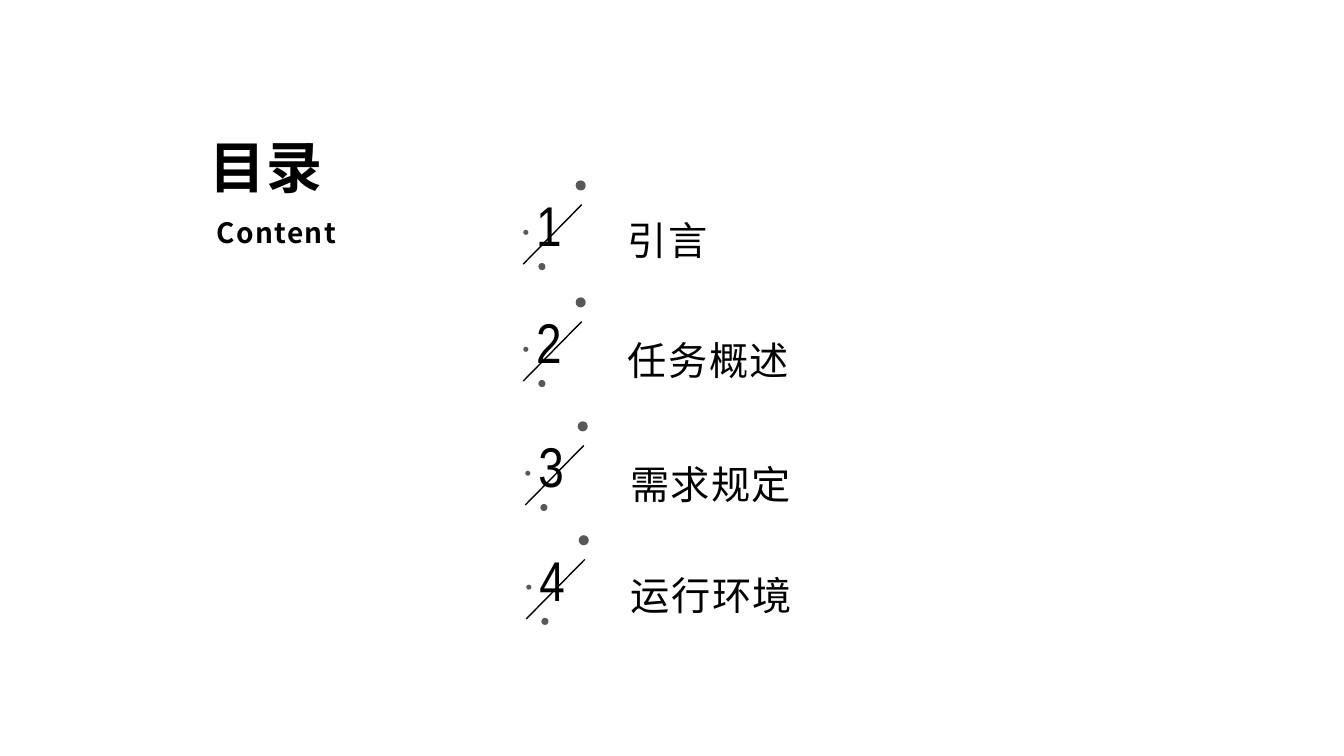
from dataclasses import dataclass

from lxml import etree
from pptx import Presentation
from pptx.dml.color import RGBColor
from pptx.enum import shapes, text
from pptx.oxml import ns
from pptx.util import Inches, Pt


@dataclass(frozen=True)
class Theme:
    """Colours, fonts and type sizes of the slide."""
    ink: RGBColor = RGBColor(0x00, 0x00, 0x00)
    dot: RGBColor = RGBColor(0x52, 0x52, 0x52)
    paper: RGBColor = RGBColor(0xFF, 0xFF, 0xFF)
    dot_alpha: int = 96
    cjk: str = "Noto Sans CJK JP"
    narrow: str = "Arial Narrow"
    large: int = 40
    label: int = 28
    small: int = 20
    spacing: int = 1


THEME = Theme()
WIDTH, HEIGHT = 13.33, 7.5
ITEMS = [
    ("引言", 5.22, 1.84, 0.26),
    ("任务概述", 5.22, 3.00, 0.29),
    ("需求规定", 5.24, 4.23, 0.29),
    ("运行环境", 5.25, 5.36, 0.26),
]
DOTS = [(0.49, -0.05, 0.10), (0.12, 0.77, 0.07), (-0.03, 0.44, 0.05)]


def write(sp, words, size, font, bold=False, spacing=0):
    """Fill a text shape with one formatted run."""
    tf = sp.text_frame
    tf.word_wrap = True
    tf.auto_size = text.MSO_AUTO_SIZE.SHAPE_TO_FIT_TEXT
    tf.vertical_anchor = text.MSO_ANCHOR.TOP
    p = tf.paragraphs[0]
    p.alignment = text.PP_ALIGN.LEFT
    r = p.add_run()
    r.text = words
    r.font.size, r.font.name, r.font.bold = Pt(size), font, bold
    r.font.color.rgb = THEME.ink
    rpr = r.font._element
    rpr.set("spc", str(spacing * 100))
    etree.SubElement(rpr, ns.qn("a:ea"), typeface=font)


def add_text(parent, box, words, size, font, **style):
    """Add a text box in the given box."""
    sp = parent.add_textbox(*map(Inches, box))
    write(sp, words, size, font, **style)


def add_heading(slide, left, top):
    """Place the title and its subtitle from a top left corner."""
    title = slide.shapes.title
    title.left, title.top = Inches(left), Inches(top)
    title.width, title.height = Inches(1.5), Inches(0.77)
    write(title, "目录", THEME.large, THEME.cjk, bold=True, spacing=THEME.spacing)
    add_text(slide.shapes, (left + 0.07, top + 0.83, 3.13, 0.44), "Content",
             THEME.small, THEME.cjk, bold=True, spacing=THEME.spacing)


def add_slash(parent, left, top):
    """Draw the diagonal stroke through a number."""
    line = parent.add_connector(shapes.MSO_CONNECTOR.STRAIGHT, Inches(left + 0.55),
                                Inches(top + 0.19), Inches(left - 0.03), Inches(top + 0.78))
    line.line.color.rgb = THEME.ink
    line.line.width = Pt(1)
    etree.SubElement(line._element.spPr, ns.qn("a:effectLst"))


def add_dot(parent, left, top, size):
    """Draw one slightly transparent dot."""
    sp = parent.add_shape(shapes.MSO_SHAPE.OVAL, *map(Inches, (left, top, size, size)))
    sp.shadow.inherit = False
    sp.fill.solid()
    sp.fill.fore_color.rgb = THEME.dot
    sp.line.fill.background()
    colour = sp._element.spPr.find(".//" + ns.qn("a:srgbClr"))
    etree.SubElement(colour, ns.qn("a:alpha"), val=str(THEME.dot_alpha * 1000))


def add_item(slide, number, label, left, top, drop):
    """Group a decorated number with its label."""
    parent = slide.shapes.add_group_shape().shapes
    add_text(parent, (left, top, 0.62, 0.77), str(number), THEME.large, THEME.narrow)
    add_slash(parent, left, top)
    for dx, dy, size in DOTS:
        add_dot(parent, left + dx, top + dy, size)
    add_text(parent, (left + 0.91, top + drop, 2.75, 0.57), label,
             THEME.label, THEME.cjk, spacing=THEME.spacing)


def add_contents(prs):
    """Build the contents slide."""
    slide = prs.slides.add_slide(prs.slide_layouts[5])
    slide.background.fill.solid()
    slide.background.fill.fore_color.rgb = THEME.paper
    add_heading(slide, 1.98, 1.26)
    for number, item in enumerate(ITEMS, 1):
        add_item(slide, number, *item)


def main():
    """Create and save the presentation."""
    prs = Presentation()
    prs.slide_width, prs.slide_height = Inches(WIDTH), Inches(HEIGHT)
    add_contents(prs)
    prs.save("out.pptx")


if __name__ == "__main__":
    main()
